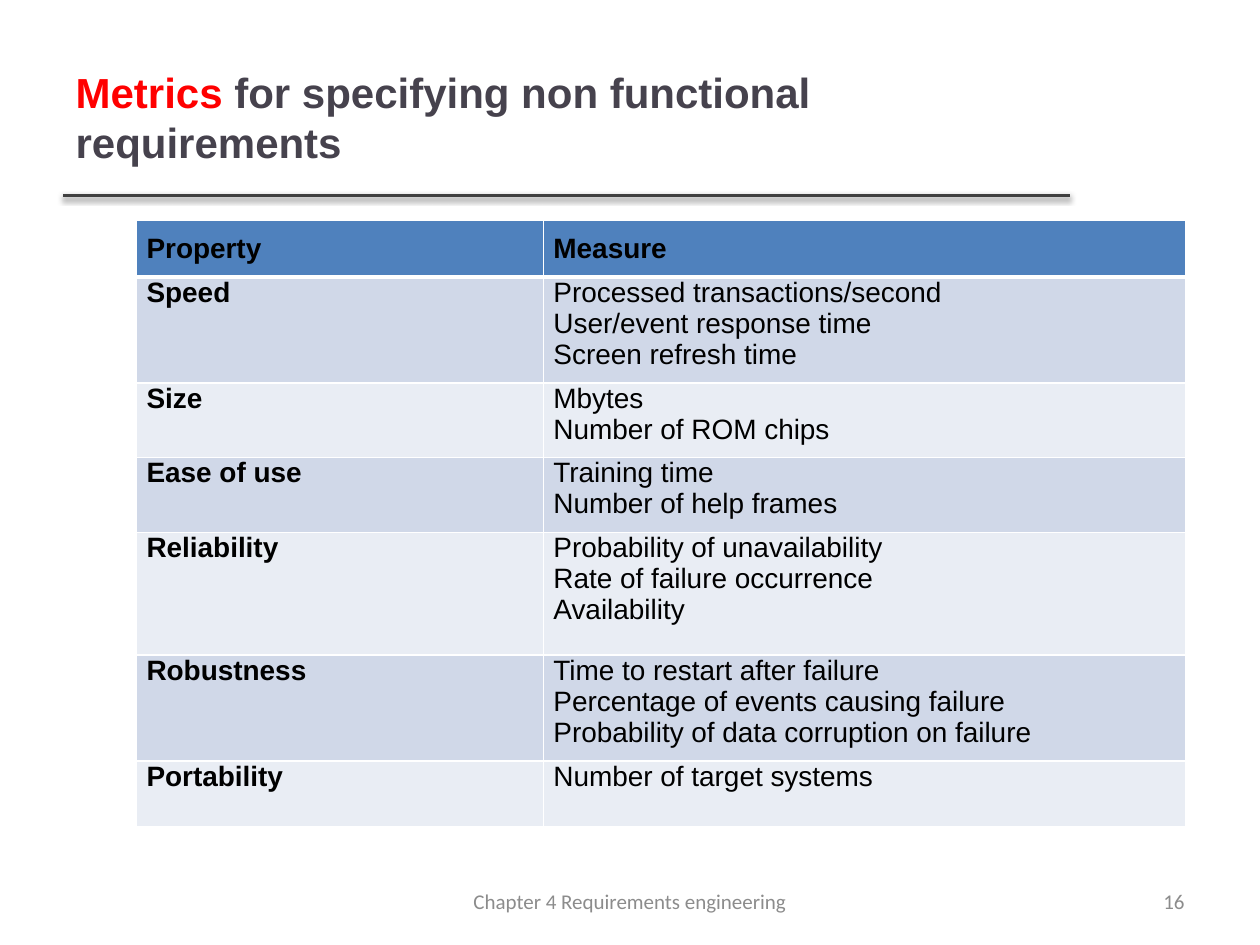
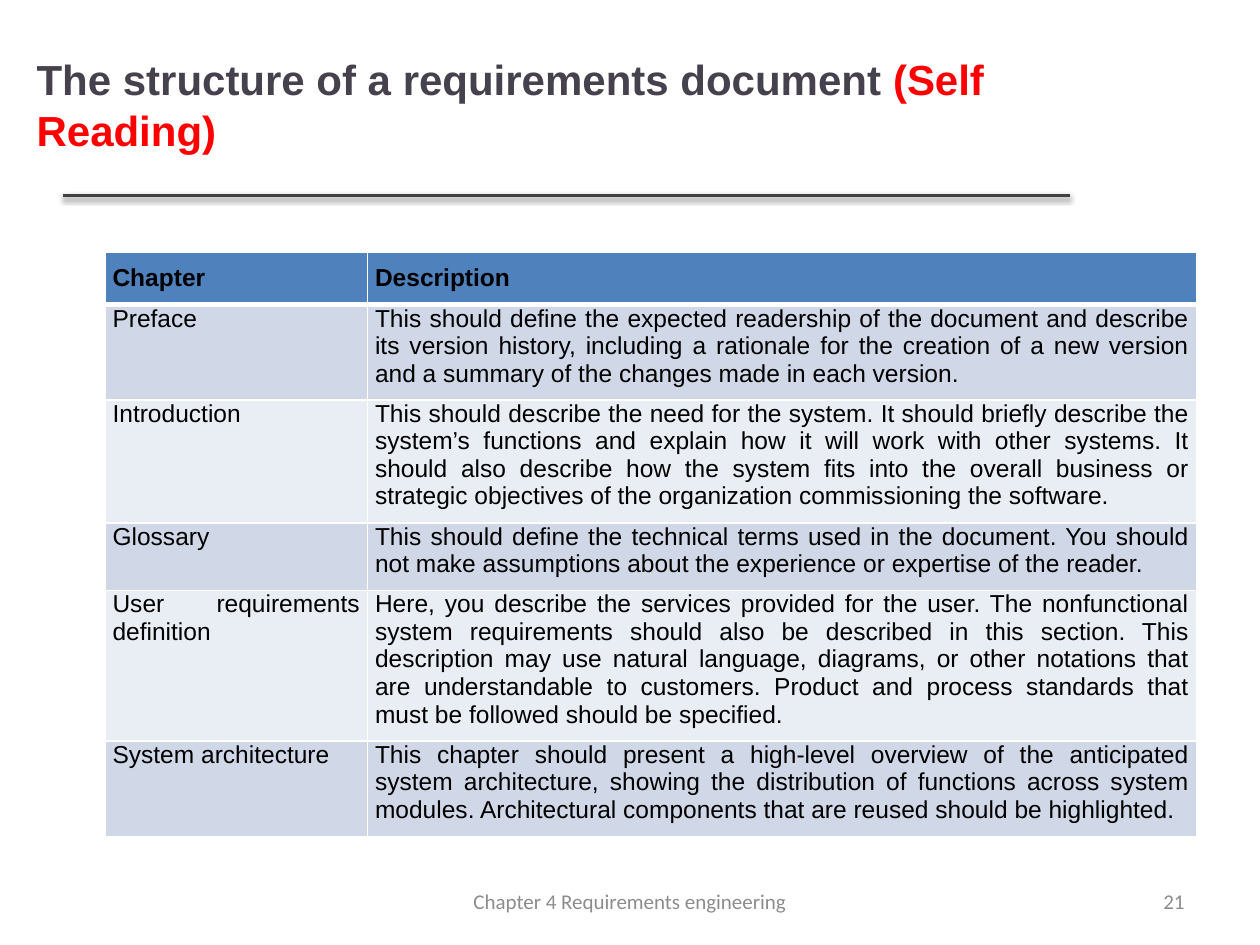
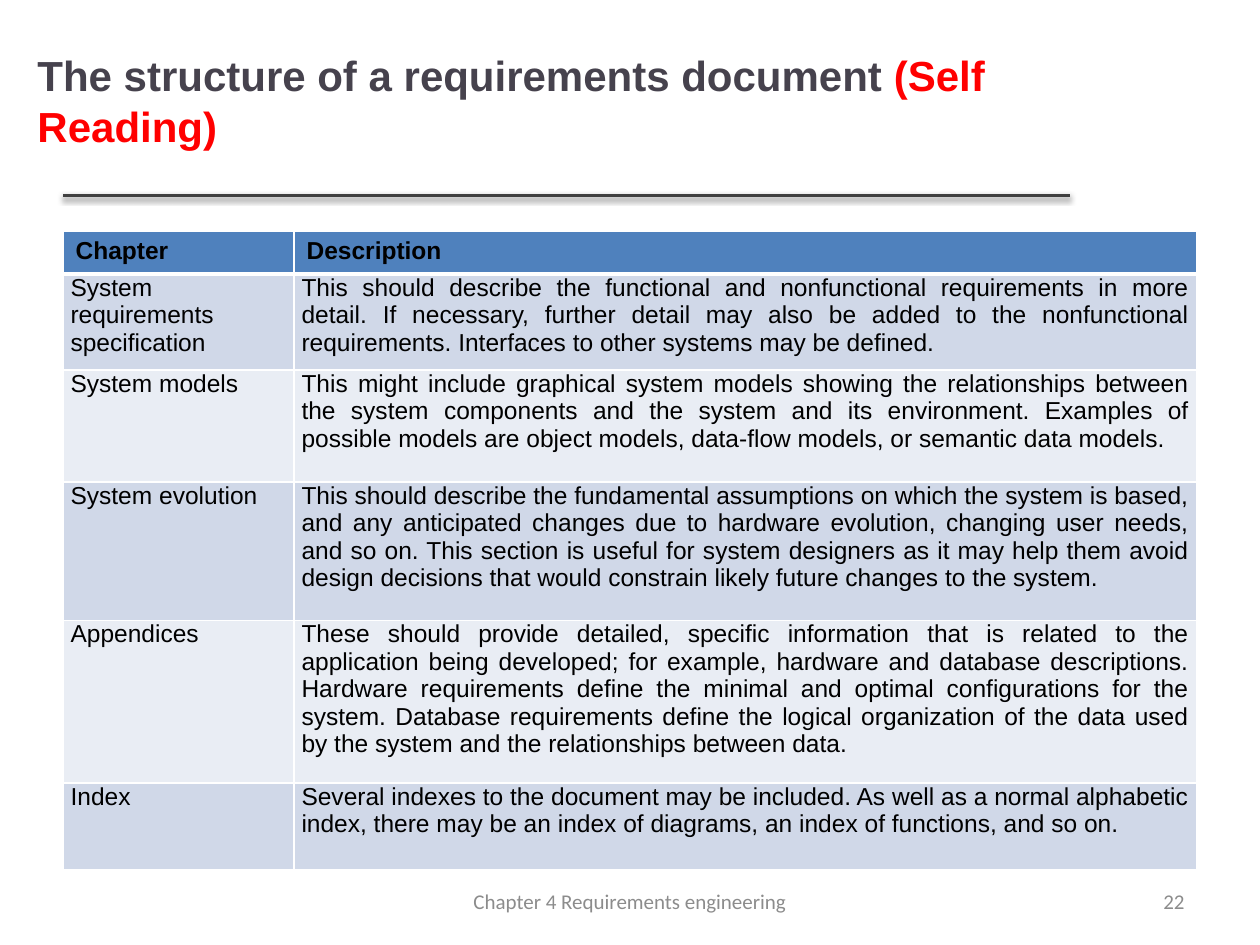
"""Build three slides on requirements metrics and document structure."""
import pptx
import pptx.util
import pptx.dml.color
import pptx.enum.text
import pptx.enum.shapes
import pptx.oxml
import pptx.oxml.ns

Pt = pptx.util.Pt
RGB = pptx.dml.color.RGBColor
Align = pptx.enum.text.PP_ALIGN
Anchor = pptx.enum.text.MSO_ANCHOR

RED = RGB(0xFF, 0, 0)
SLATE = RGB(0x46, 0x42, 0x4D)
RULE = RGB(0x40, 0x40, 0x40)
GREY = RGB(0x8C, 0x8C, 0x8C)
BLACK = RGB(0, 0, 0)
HEAD = RGB(0x4F, 0x81, 0xBD)
BANDS = [RGB(0xD0, 0xD8, 0xE8), RGB(0xE9, 0xED, 0xF4)]
FOOTER = "Chapter 4 Requirements engineering"
READING = [("The structure of a requirements document ", SLATE), ("(Self Reading) ", RED)]

SLIDES = [
    dict(
        page=16,
        title=[("Metrics", RED), (" for specifying non functional requirements", SLATE)],
        place=(36, 21.6, 574.5, 90),
        corner=(78, 126), cols=(232.5, 367), size=16, side=5.76, bold=True,
        head=(5.76, 7.2, Align.JUSTIFY),
        heights=(32, 60.5, 42.5, 42.5, 70, 60.5, 37.5),
        rows=[
            ("Property", "Measure"),
            ("Speed", "Processed transactions/second\nUser/event response time\nScreen refresh time"),
            ("Size", "Mbytes\nNumber of ROM chips"),
            ("Ease of use", "Training time\nNumber of help frames"),
            ("Reliability", "Probability of unavailability\nRate of failure occurrence\nAvailability"),
            ("Robustness", "Time to restart after failure\nPercentage of events causing failure\n"
             "Probability of data corruption on failure"),
            ("Portability", "Number of target systems"),
        ]),
    dict(
        page=21, title=READING, place=(13.7, 16.6, 580, 85.7),
        corner=(60, 144), cols=(150, 474), size=14, side=4.32, bold=False,
        head=(4.32, 7.2, Align.JUSTIFY),
        heights=(29.5, 54.5, 70, 38.5, 86, 54),
        rows=[
            ("Chapter", "Description"),
            ("Preface", "This should define the expected readership of the document and describe its "
             "version history, including a rationale for the creation of a new version and a summary "
             "of the changes made in each version. "),
            ("Introduction", "This should describe the need for the system. It should briefly describe "
             "the system’s functions and explain how it will work with other systems. It should also "
             "describe how the system fits into the overall business or strategic objectives of the "
             "organization commissioning the software."),
            ("Glossary", "This should define the technical terms used in the document. You should not "
             "make assumptions about the experience or expertise of the reader."),
            ("User requirements definition", "Here, you describe the services provided for the user. "
             "The nonfunctional system requirements should also be described in this section. This "
             "description may use natural language, diagrams, or other notations that are "
             "understandable to customers. Product and process standards that must be followed "
             "should be specified."),
            ("System architecture", "This chapter should present a high-level overview of the "
             "anticipated system architecture, showing the distribution of functions across system "
             "modules. Architectural components that are reused should be highlighted."),
        ]),
    dict(
        page=22, title=READING, place=(14.2, 12.2, 574.5, 90),
        corner=(36, 132), cols=(132, 516), size=14, side=4.32, bold=False,
        head=(7.2, 3.6, Align.LEFT),
        heights=(24.5, 55, 64, 79, 93, 49.5),
        rows=[
            ("Chapter", "Description"),
            ("System requirements specification", "This should describe the functional and "
             "nonfunctional requirements in more detail. If necessary, further detail may also be "
             "added to the nonfunctional requirements. Interfaces to other systems may be defined."),
            ("System models", "This might include graphical system models showing the relationships "
             "between the system components and the system and its environment. Examples of possible "
             "models are object models, data-flow models, or semantic data models. "),
            ("System evolution", "This should describe the fundamental assumptions on which the system "
             "is based, and any anticipated changes due to hardware evolution, changing user needs, "
             "and so on. This section is useful for system designers as it may help them avoid design "
             "decisions that would constrain likely future changes to the system."),
            ("Appendices", "These should provide detailed, specific information that is related to the "
             "application being developed; for example, hardware and database descriptions. Hardware "
             "requirements define the minimal and optimal configurations for the system. Database "
             "requirements define the logical organization of the data used by the system and the "
             "relationships between data. "),
            ("Index", "Several indexes to the document may be included. As well as a normal alphabetic "
             "index, there may be an index of diagrams, an index of functions, and so on."),
        ]),
]


def write(para, text, size, color, bold=False, face="Arial"):
    run = para.add_run()
    run.text = text
    font = run.font
    font.name, font.size, font.bold = face, Pt(size), bold
    font.color.rgb = color


def put_title(slide, runs, place):
    shape = slide.shapes.title
    shape.left, shape.top, shape.width, shape.height = map(Pt, place)
    frame = shape.text_frame
    frame.auto_size = pptx.enum.text.MSO_AUTO_SIZE.NONE
    frame.vertical_anchor = Anchor.MIDDLE
    para = frame.paragraphs[0]
    para.alignment = Align.LEFT
    for text, color in runs:
        write(para, text, 24, color, True)


def put_rule(slide):
    line = slide.shapes.add_connector(
        pptx.enum.shapes.MSO_CONNECTOR.STRAIGHT, Pt(36), Pt(111.6), Pt(611.3), Pt(111.6))
    line.line.color.rgb = RULE
    line.line.width = Pt(2)
    line._element.spPr.append(pptx.oxml.parse_xml(
        f'<a:effectLst {pptx.oxml.ns.nsdecls("a")}>'
        f'<a:outerShdw blurRad="{Pt(3.1)}" dist="{Pt(1.6)}" dir="5400000" rotWithShape="0">'
        '<a:srgbClr val="000000"><a:alpha val="38000"/></a:srgbClr>'
        '</a:outerShdw></a:effectLst>'))


def put_foot(slide, text, left, width, align):
    box = slide.shapes.add_textbox(Pt(left), Pt(500.5), Pt(width), Pt(28.75))
    frame = box.text_frame
    frame.word_wrap = True
    frame.vertical_anchor = Anchor.MIDDLE
    frame.paragraphs[0].alignment = align
    write(frame.paragraphs[0], text, 12, GREY, face="Calibri")


def edge(cell, row):
    props = cell._tc.get_or_add_tcPr()
    widths = dict(L=1, R=1, T=3 if row == 1 else 1, B=1 if row else 3)
    for spot, (side, width) in enumerate(widths.items()):
        props.insert(spot, pptx.oxml.parse_xml(
            f'<a:ln{side} {pptx.oxml.ns.nsdecls("a")} w="{Pt(width)}"><a:solidFill>'
            f'<a:srgbClr val="FFFFFF"/></a:solidFill></a:ln{side}>'))


def put_table(slide, data):
    rows, cols, tall = data["rows"], data["cols"], data["heights"]
    left, top = data["corner"]
    table = slide.shapes.add_table(
        len(rows), len(cols), Pt(left), Pt(top), Pt(sum(cols)), Pt(sum(tall))).table
    for col, width in zip(table.columns, cols):
        col.width = Pt(width)
    for r, texts in enumerate(rows):
        table.rows[r].height = Pt(tall[r])
        side, pad, align = (data["side"], 7.2, Align.JUSTIFY) if r else data["head"]
        for c, text in enumerate(texts):
            cell = table.cell(r, c)
            cell.fill.solid()
            cell.fill.fore_color.rgb = BANDS[(r - 1) % 2] if r else HEAD
            edge(cell, r)
            cell.margin_left = cell.margin_right = Pt(side)
            cell.margin_top, cell.margin_bottom = Pt(0 if r else pad), Pt(pad)
            bold = r == 0 or (c == 0 and data["bold"])
            frame = cell.text_frame
            for n, part in enumerate(text.split("\n")):
                para = frame.add_paragraph() if n else frame.paragraphs[0]
                para.alignment = align
                write(para, part, data["size"], BLACK, bold)


deck = pptx.Presentation()
deck.slide_width, deck.slide_height = Pt(720), Pt(540)
for data in SLIDES:
    slide = deck.slides.add_slide(deck.slide_layouts[5])
    put_rule(slide)
    put_title(slide, data["title"], data["place"])
    put_table(slide, data)
    put_foot(slide, str(data["page"]), 516, 168, Align.RIGHT)
    put_foot(slide, FOOTER, 246, 228, Align.CENTER)
deck.save("out.pptx")
